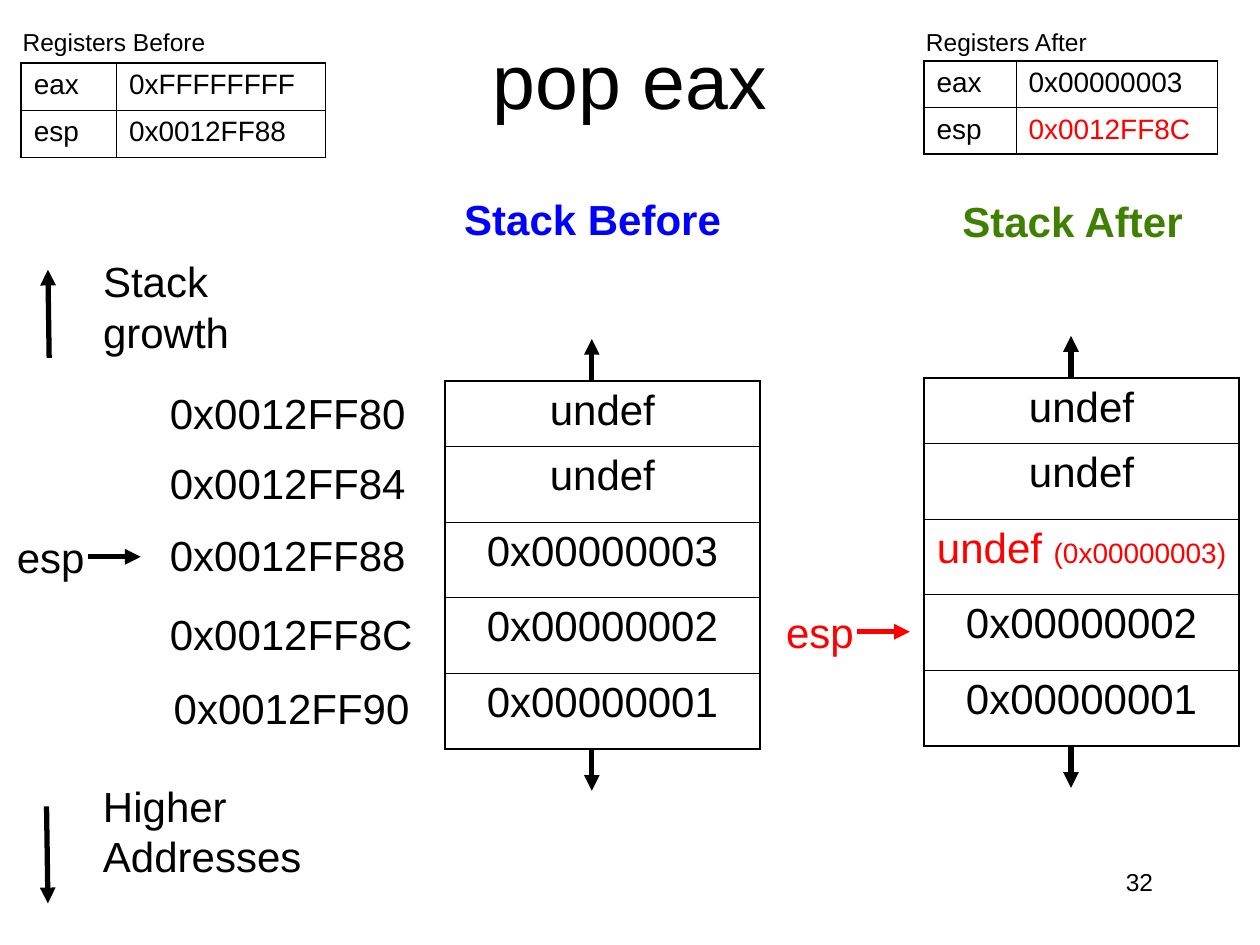
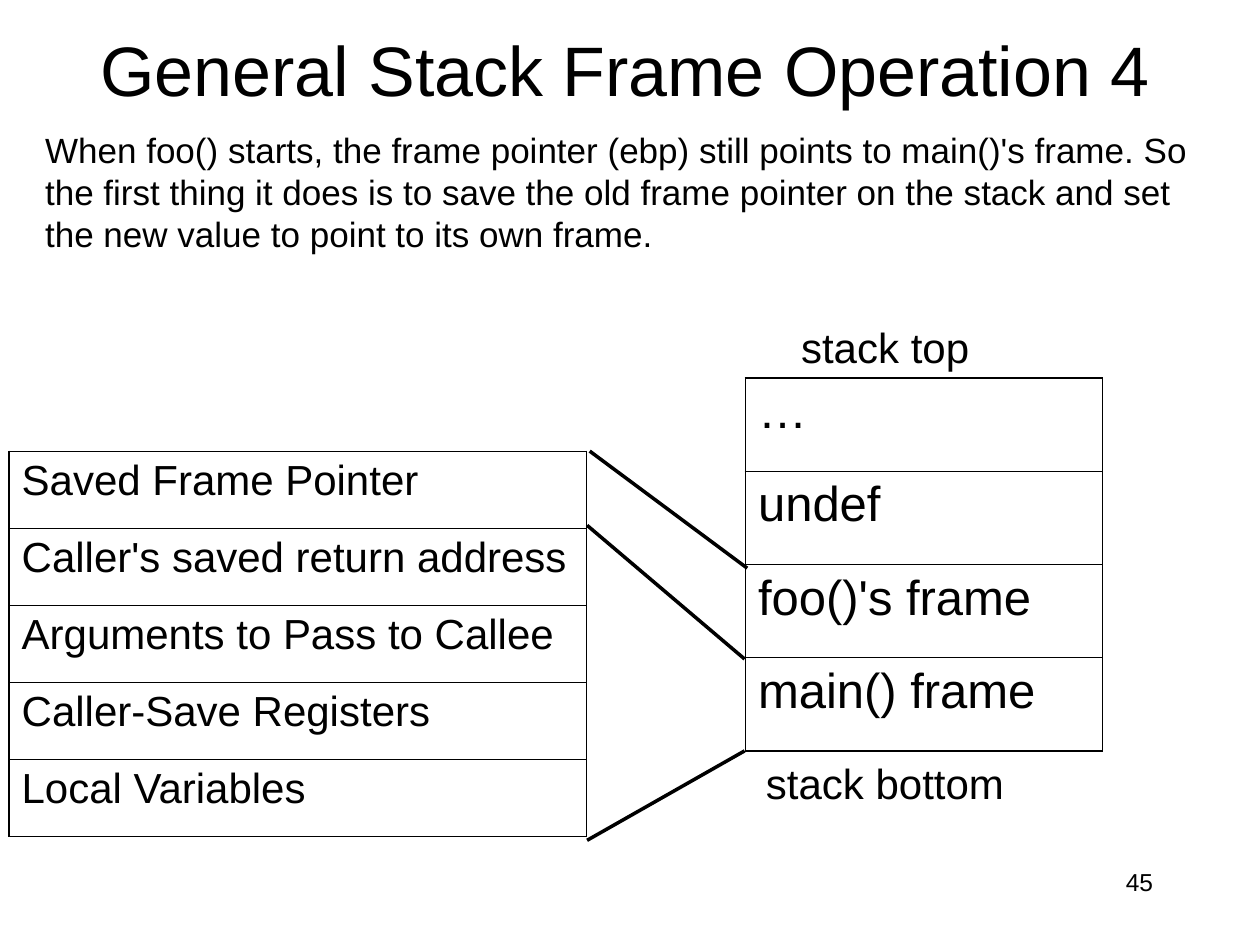
from lxml import etree
from pptx import Presentation
from pptx.dml.color import RGBColor
from pptx.enum.shapes import MSO_CONNECTOR
from pptx.enum.text import MSO_ANCHOR, MSO_AUTO_SIZE as FIT, PP_ALIGN as ALIGN
from pptx.oxml.ns import qn
from pptx.util import Pt

BLACK = RGBColor(0x00, 0x00, 0x00)
BLUE = RGBColor(0x00, 0x00, 0xFF)
GREEN = RGBColor(0x40, 0x80, 0x00)
RED = RGBColor(0xFF, 0x00, 0x00)
FONT = "Arial"
OUTER, INNER = 1.08, 0.45

# Content of the "pop eax" slide; a cell is a text or a (text, colour) pair
POP = {"title": "pop eax", "number": "32", "title_at": (54, 0, 612, 90), "title_size": 44}
REGISTERS = [
    {"label": "Registers Before", "label_at": (5.8, 12.2, 118.8, 24.5),
     "at": (12.2, 36), "cols": [54.4, 119.5], "row": 27,
     "cells": [["eax", "0xFFFFFFFF"], ["esp", "0x0012FF88"]]},
    {"label": "Registers After", "label_at": (522, 12.2, 107.3, 24.5),
     "at": (528, 35), "cols": [52.6, 115.2], "row": 26.5,
     "cells": [["eax", "0x00000003"], ["esp", ("0x0012FF8C", RED)]]},
]
STACKS = [
    {"label": "Stack Before", "label_at": (258.2, 106.9, 161.3, 36), "color": BLUE,
     "at": (254.2, 217.7),
     "cells": ["undef", "undef", "0x00000003", "0x00000002", "0x00000001"]},
    {"label": "Stack After", "label_at": (542.9, 108, 141.1, 36), "color": GREEN,
     "at": (528, 216),
     "cells": ["undef", "undef", ([("undef ", 24), ("(0x00000003)", 16)], RED),
               "0x00000002", "0x00000001"]},
]
STACK_WIDTH, STACK_ROWS = 180, [37.4] + [43.2] * 4
ARROW_INSET, ARROW_LENGTH = 84, 24
# Address, left, top, width
ADDRESSES = [
    ("0x0012FF80", 90, 217.7, 149), ("0x0012FF84", 90, 257.8, 149),
    ("0x0012FF88", 90, 298.8, 149), ("0x0012FF8C", 90, 344.2, 153),
    ("0x0012FF90", 92.2, 386.2, 149),
]
POINTERS = [("esp", 2.6, 300.2, BLACK), ("esp", 442.1, 343, RED)]
DIRECTIONS = [
    ("Stack growth", (51.8, 142.6, 90, 64.8), (28.1, 204.5), (27.4, 154.1)),
    ("Higher\nAddresses", (51.8, 442.4, 144, 64.8), (26.6, 460.8), (27.4, 516.2)),
]

# Content of the stack frame slide
FRAME = {"title": "General Stack Frame Operation 4", "number": "45",
         "title_at": (36, -5.8, 642.2, 90), "title_size": 40}
EXPLANATION = (
    "When foo() starts, the frame pointer (ebp) still points to main()'s frame. "
    "So the first thing it does is to save the old frame pointer on the stack "
    "and set the new value to point to its own frame.")
FRAME_PARTS = ["Saved Frame Pointer", "Caller's saved return address",
               "Arguments to Pass to Callee", "Caller-Save Registers", "Local Variables"]
STACK_PARTS = ["…", "undef", "foo()'s frame", "main() frame"]
STACK_ENDS = [("stack top", (450.7, 180, 110.2, 36)),
              ("stack bottom", (430.6, 429.1, 150.5, 36))]
ZOOM_LINES = [((337, 257.8), (427, 324.7)), ((335.5, 300.2), (425.5, 376.6)),
              ((335.5, 480.2), (425.5, 429.1))]


def write(frame, text, size=24, color=BLACK, bold=False, align=ALIGN.LEFT):
    """Fill a text frame; text is a string or a list of (text, size) runs."""
    lines = [[(line, size)] for line in text.split("\n")] if isinstance(text, str) else [text]
    for index, pieces in enumerate(lines):
        paragraph = frame.add_paragraph() if index else frame.paragraphs[0]
        paragraph.alignment = align
        paragraph.space_before = Pt(0)
        for piece, points in pieces:
            run = paragraph.add_run()
            run.text = piece
            run.font.name, run.font.size, run.font.bold = FONT, Pt(points), bold
            run.font.color.rgb = color


def add_label(slide, text, at, wrap=False, fit=FIT.SHAPE_TO_FIT_TEXT, **style):
    frame = slide.shapes.add_textbox(*map(Pt, at)).text_frame
    frame.word_wrap = wrap
    frame.auto_size = fit
    write(frame, text, **style)


def add_line(slide, start, end, color=BLACK, width=3.0, arrow=True):
    line = slide.shapes.add_connector(MSO_CONNECTOR.STRAIGHT, *map(Pt, start + end))
    line.line.color.rgb = color
    line.line.width = Pt(width)
    if arrow:
        etree.SubElement(line.line._ln, qn("a:tailEnd"), type="triangle")
    etree.SubElement(line._element.spPr, qn("a:effectLst"))


def set_border(cell, side, width):
    border = etree.SubElement(cell._tc.get_or_add_tcPr(), qn("a:ln" + side),
                              w=str(int(Pt(width))))
    fill = etree.SubElement(border, qn("a:solidFill"))
    etree.SubElement(fill, qn("a:srgbClr"), val=str(BLACK))


def add_grid(slide, cells, at, cols, rows, inner=INNER, **style):
    """Draw an unfilled table with an outer frame and thinner inner rules."""
    size = (sum(cols), sum(rows))
    grid = slide.shapes.add_table(len(rows), len(cols), *map(Pt, at + size)).table
    grid.first_row = grid.horz_banding = False
    for column, width in zip(grid.columns, cols):
        column.width = Pt(width)
    for r, height in enumerate(rows):
        grid.rows[r].height = Pt(height)
        for c, content in enumerate(cells[r]):
            cell = grid.cell(r, c)
            edges = {"L": c == 0, "R": c == len(cols) - 1,
                     "T": r == 0, "B": r == len(rows) - 1}
            for side, on_edge in edges.items():
                set_border(cell, side, OUTER if on_edge else inner)
            cell.fill.background()
            text, color = content if isinstance(content, tuple) else (content, BLACK)
            write(cell.text_frame, text, color=color, **style)


def start_slide(deck, page):
    """Add a slide with its title and page number."""
    slide = deck.slides.add_slide(deck.slide_layouts[5])
    title = slide.shapes.title
    title.left, title.top, title.width, title.height = map(Pt, page["title_at"])
    title.text_frame.auto_size = FIT.NONE
    title.text_frame.vertical_anchor = MSO_ANCHOR.MIDDLE
    write(title.text_frame, page["title"], size=page["title_size"], align=ALIGN.CENTER)
    add_label(slide, page["number"], (516.2, 491.8, 149.8, 36), wrap=True,
              fit=FIT.NONE, size=14, align=ALIGN.RIGHT)
    return slide


def build_pop(deck):
    slide = start_slide(deck, POP)
    # Registers
    for registers in REGISTERS:
        add_grid(slide, registers["cells"], registers["at"], registers["cols"],
                 [registers["row"]] * 2, size=16)
        add_label(slide, registers["label"], registers["label_at"], size=14)
    # Stacks, each with an arrow out of its top and bottom
    for stack in STACKS:
        add_label(slide, stack["label"], stack["label_at"], color=stack["color"], bold=True)
        left, top = stack["at"]
        add_grid(slide, [[cell] for cell in stack["cells"]], stack["at"], [STACK_WIDTH],
                 STACK_ROWS, align=ALIGN.CENTER)
        x, bottom = left + ARROW_INSET, top + sum(STACK_ROWS)
        add_line(slide, (x, top), (x, top - ARROW_LENGTH))
        add_line(slide, (x, bottom), (x, bottom + ARROW_LENGTH))
    # Addresses and stack pointers
    for address, left, top, width in ADDRESSES:
        add_label(slide, address, (left, top, width, 36))
    for pointer, left, top, color in POINTERS:
        add_label(slide, pointer, (left, top, 53.3, 36), color=color)
        y = top + 18
        add_line(slide, (left + 47.5, y), (left + 77.8, y), color=color)
    # Directions of growth
    for direction, at, start, end in DIRECTIONS:
        add_label(slide, direction, at, wrap=True)
        add_line(slide, start, end)


def build_frame(deck):
    slide = start_slide(deck, FRAME)
    add_label(slide, EXPLANATION, (18.7, 69.8, 674.6, 93.6), wrap=True, fit=FIT.NONE, size=20)
    # Lines from the frame's parts to the stack
    for start, end in ZOOM_LINES:
        add_line(slide, start, end, width=2, arrow=False)
    add_grid(slide, [[part] for part in FRAME_PARTS], (5.2, 258), [330], [44] * 5,
             inner=OUTER)
    add_grid(slide, [[part] for part in STACK_PARTS], (426, 216), [204], [53.3] * 4, size=28)
    for end, at in STACK_ENDS:
        add_label(slide, end, at)


def main():
    deck = Presentation()
    deck.slide_width, deck.slide_height = Pt(720), Pt(540)
    build_pop(deck)
    build_frame(deck)
    deck.save("out.pptx")


if __name__ == "__main__":
    main()
